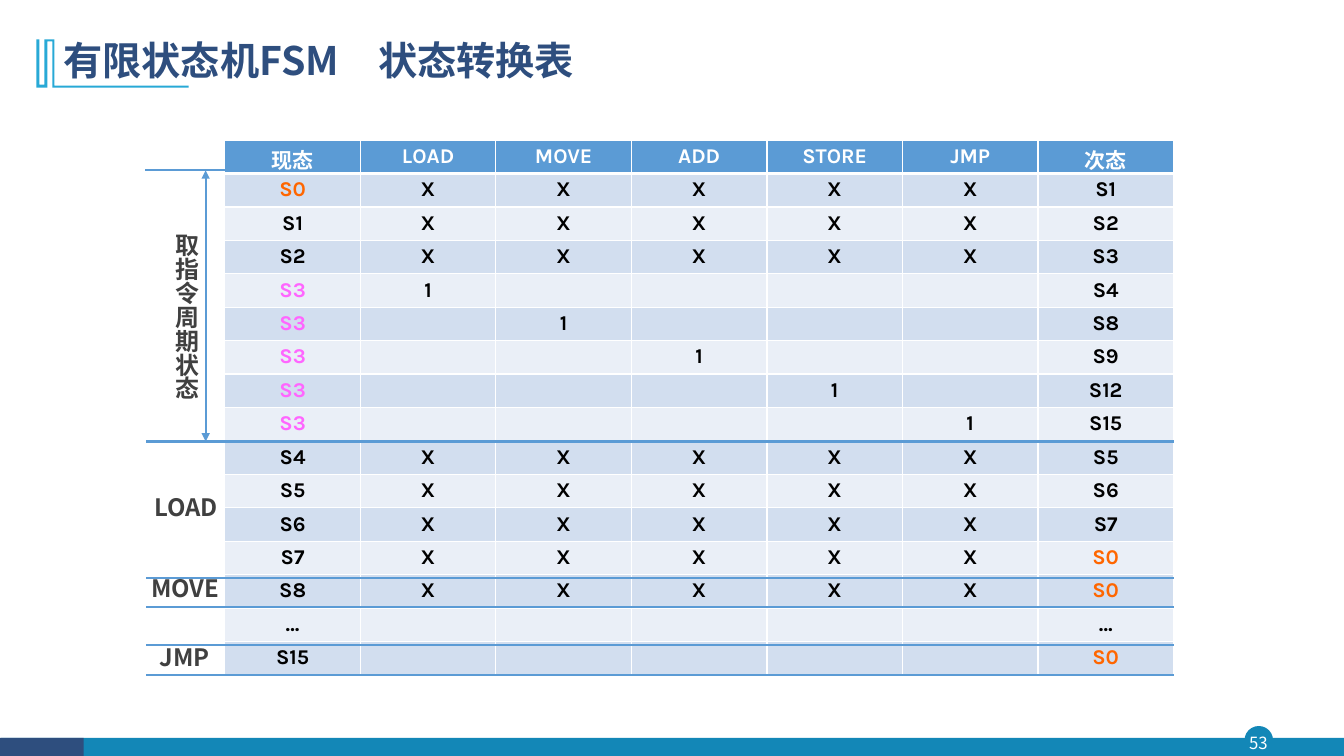
from lxml import etree
from pptx import Presentation
from pptx.dml.color import RGBColor
from pptx.enum.shapes import MSO_CONNECTOR, MSO_SHAPE
from pptx.enum.text import MSO_ANCHOR, MSO_AUTO_SIZE, PP_ALIGN
from pptx.oxml.ns import qn
from pptx.util import Emu, Inches, Pt

COLORS = {
    "navy": "2E4E7E", "teal": "1387B7", "cyan": "28A9D6", "blue": "5B9BD5",
    "band_dark": "D2DEEF", "band_light": "EAEFF7", "white": "FFFFFF",
    "black": "000000", "gray": "404040", "orange": "FF6600", "pink": "FF66FF",
}
CJK_FONT, TABLE_FONT = "Noto Sans CJK SC", "Karla"


def rgb(name):
    return RGBColor.from_string(COLORS[name])


class SlideBuilder:
    def __init__(self, slide):
        self.slide = slide

    def style(self, p, size, color, font=CJK_FONT, bold=True, align=PP_ALIGN.LEFT):
        p.alignment = align
        for r in p.runs:
            r.font.size, r.font.bold, r.font.name = Pt(size), bold, font
            r.font.color.rgb = rgb(color)
            latin = r.font._element.find(qn("a:latin"))
            ea = etree.Element(qn("a:ea"), typeface=CJK_FONT)
            latin.addnext(ea)

    def title(self, text, x, y, w, h):
        sp = self.slide.shapes.title
        sp.left, sp.top, sp.width, sp.height = map(Inches, (x, y, w, h))
        tf = sp.text_frame
        tf.text = text
        tf.auto_size = MSO_AUTO_SIZE.NONE
        tf.vertical_anchor = MSO_ANCHOR.MIDDLE
        tf.paragraphs[0].line_spacing = 0.9
        self.style(tf.paragraphs[0], 28, "navy")

    def paint(self, sp, color):
        sp.shadow.inherit = False
        sp.fill.solid()
        sp.fill.fore_color.rgb = rgb(color)
        sp.line.fill.background()

    def shape(self, kind, x, y, w, h, color):
        sp = self.slide.shapes.add_shape(kind, *map(Inches, (x, y, w, h)))
        self.paint(sp, color)
        return sp

    def outline(self, points, color):
        points = [(Inches(x), Inches(y)) for x, y in points]
        builder = self.slide.shapes.build_freeform(*points[0])
        builder.add_line_segments(points[1:], close=True)
        self.paint(builder.convert_to_shape(), color)

    def textbox(self, text, x, y, w, h):
        sp = self.slide.shapes.add_textbox(*map(Inches, (x, y, w, h)))
        sp.text_frame.text = text
        return sp

    def number(self, text, x, y, w, h):
        tf = self.textbox(text, x, y, w, h).text_frame
        tf.margin_left = tf.margin_right = tf.margin_top = tf.margin_bottom = 0
        tf.word_wrap = True
        tf.vertical_anchor = MSO_ANCHOR.MIDDLE
        self.style(tf.paragraphs[0], 12, "white", bold=False, align=PP_ALIGN.CENTER)

    def vertical_label(self, text, x, y, w, h, rotation=0):
        sp = self.textbox(text, x, y, w, h)
        sp.rotation = rotation
        tf = sp.text_frame
        tf.word_wrap = False
        tf.auto_size = MSO_AUTO_SIZE.SHAPE_TO_FIT_TEXT
        tf._txBody.bodyPr.set("vert", "eaVert")
        self.style(tf.paragraphs[0], 17.1, "gray")

    def line(self, x1, y1, x2, y2, shapes=None, arrows=False):
        shapes = shapes or self.slide.shapes
        line = shapes.add_connector(MSO_CONNECTOR.STRAIGHT, *map(Inches, (x1, y1, x2, y2)))
        line.line.color.rgb = rgb("blue")
        line.line.width = Pt(1.5)
        if arrows:
            ln = line.line._get_or_add_ln()
            for end in ("a:headEnd", "a:tailEnd"):
                etree.SubElement(ln, qn(end), type="triangle")
        etree.SubElement(line._element.spPr, qn("a:effectLst"))

    def cell(self, cell, text, fill, color, borders):
        cell.margin_left = cell.margin_right = Inches(0.08)
        cell.margin_top = cell.margin_bottom = Inches(0.04)
        tc_pr = cell._tc.get_or_add_tcPr()
        for side, width in borders.items():
            ln = etree.SubElement(tc_pr, qn(f"a:ln{side}"), w=str(Pt(width)))
            solid = etree.SubElement(ln, qn("a:solidFill"))
            etree.SubElement(solid, qn("a:srgbClr"), val=COLORS["white"])
        cell.fill.solid()
        cell.fill.fore_color.rgb = rgb(fill)
        p = cell.text_frame.paragraphs[0]
        if text:
            p.text = text
            self.style(p, 15, color, TABLE_FONT, align=PP_ALIGN.CENTER)
        else:  # keeps empty cells as low as the filled ones
            end = etree.SubElement(p._p, qn("a:endParaRPr"), sz="1500")
            etree.SubElement(end, qn("a:latin"), typeface=TABLE_FONT)

    def table(self, rows, x, y, w, h):
        frame = self.slide.shapes.add_table(
            len(rows), len(rows[0]), *map(Inches, (x, y, w, h)))
        table = frame.table
        for col in table.columns:
            col.width = Emu(Inches(w) // len(rows[0]))
        for i, row in enumerate(rows):
            table.rows[i].height = Emu(Inches(h) // len(rows))
            borders = {"L": 1, "R": 1, "T": 3 if i == 1 else 1, "B": 3 if i == 0 else 1}
            band = "blue" if i == 0 else "band_dark" if i % 2 else "band_light"
            for j, text in enumerate(row):
                if i == 0:
                    color = "white"
                elif text == "S0":
                    color = "orange"
                elif text == "S3" and j == 0:
                    color = "pink"
                else:
                    color = "black"
                self.cell(table.cell(i, j), text, band, color, borders)


def state_rows():
    ops = ["LOAD", "MOVE", "ADD", "STORE", "JMP"]
    any_op, no_op = ["X"] * len(ops), [""] * len(ops)
    rows = [["现态", *ops, "次态"]]
    rows += [[f"S{n}", *any_op, f"S{n + 1}"] for n in range(3)]
    for i, target in enumerate(["S4", "S8", "S9", "S12", "S15"]):
        rows.append(["S3", *["1" if j == i else "" for j in range(len(ops))], target])
    rows += [[f"S{n}", *any_op, f"S{n + 1}" if n < 7 else "S0"] for n in range(4, 9)]
    rows += [["…", *no_op, "…"], ["S15", *no_op, "S0"]]
    return rows


def main():
    prs = Presentation()
    prs.slide_width, prs.slide_height = Inches(13.33), Inches(7.5)
    s = SlideBuilder(prs.slides.add_slide(prs.slide_layouts[5]))

    # Footer band and page number
    badge = s.shape(MSO_SHAPE.OVAL, 12.35, 7.21, 0.27, 0.27, "teal")
    badge.line.color.rgb = rgb("teal")
    badge.line.width = Pt(1)
    s.shape(MSO_SHAPE.RECTANGLE, 0.01, 7.32, 13.32, 0.19, "teal")
    s.shape(MSO_SHAPE.RECTANGLE, 0, 7.32, 0.83, 0.19, "navy")
    s.number("53", 12.32, 7.21, 0.32, 0.31)

    # Title and its corner ornament
    s.outline([(0.54, 0.39), (0.54, 0.85), (1.87, 0.85), (1.87, 0.87), (0.52, 0.87),
               (0.52, 0.41), (0.47, 0.41), (0.47, 0.87), (0.36, 0.87), (0.36, 0.39),
               (0.39, 0.39), (0.39, 0.84), (0.44, 0.84), (0.44, 0.39)], "cyan")
    s.title("有限状态机FSM　状态转换表", 0.53, 0.28, 11.5, 0.68)

    # State transition table
    left, right = 2.23, 11.64
    s.table(state_rows(), left, 1.39, right - left, 5.31)

    # Extent of the fetch cycle
    top, bottom = 1.69, 4.38
    extent = s.slide.shapes.add_group_shape().shapes
    s.line(left, top, 1.44, top, extent)
    s.line(left, bottom, 1.73, bottom, extent)
    s.line(2.04, top, 2.04, bottom, extent, arrows=True)
    s.vertical_label("取指令周期状态", 1.55, 2.22, 0.49, 1.78)

    # Instruction separators and labels
    for y in (bottom, 5.73, 6.02, 6.4, 6.7):
        s.line(right, y, 1.45, y)
    for text, x, y, h in (("LOAD", 1.59, 4.68, 0.8), ("MOVE", 1.58, 5.46, 0.85),
                          ("JMP", 1.55, 6.26, 0.62)):
        s.vertical_label(text, x, y, 0.49, h, rotation=270)

    prs.save("out.pptx")


if __name__ == "__main__":
    main()
